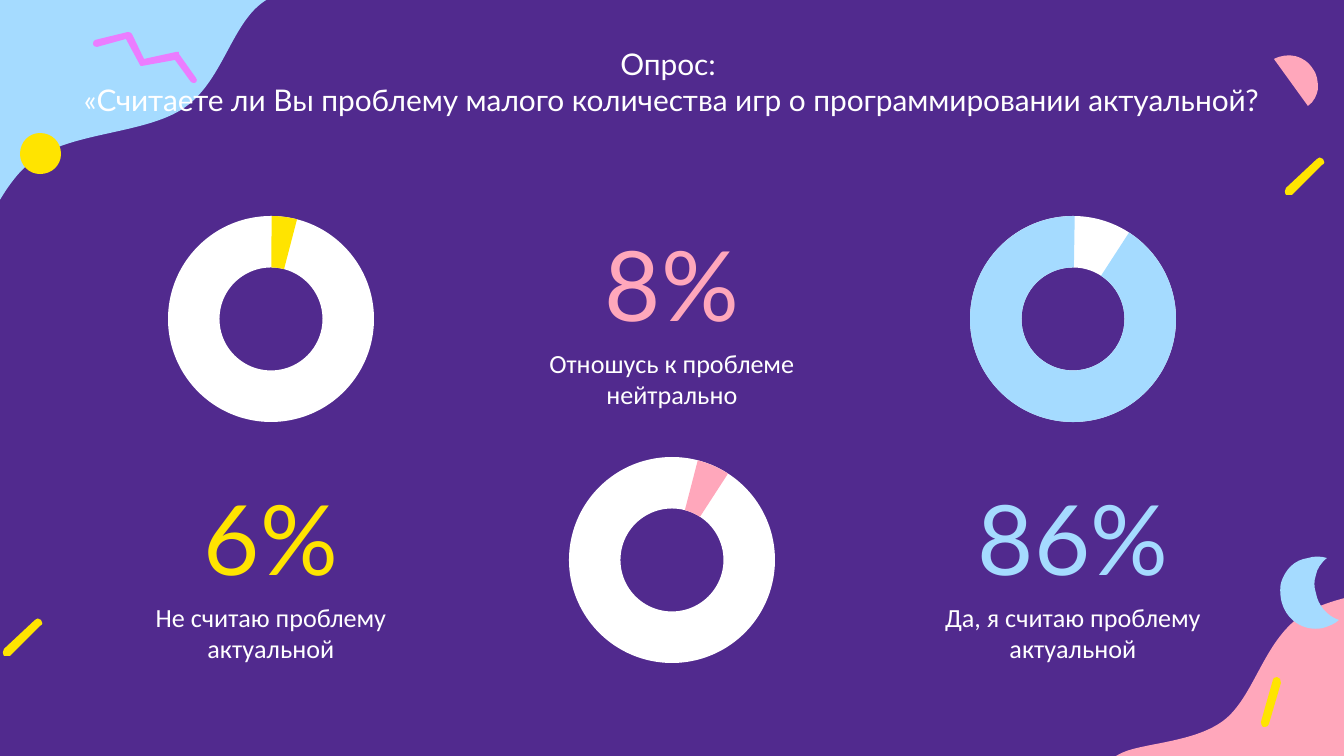
from dataclasses import dataclass

from lxml import etree
from pptx import Presentation
from pptx import util as u
from pptx.dml.color import RGBColor
from pptx.enum import shapes, text
from pptx.oxml.ns import qn


@dataclass(frozen=True)
class Theme:
    back: str = "512A8E"
    white: str = "FFFFFF"
    sky: str = "A5DBFF"
    pink: str = "FFA7BB"
    sun: str = "FFE400"
    lilac: str = "EB7DFF"
    head: str = "Lato"
    body: str = "Calibri"
    big: int = 52
    mid: int = 16
    small: int = 14


T = Theme()
W, H = 1344, 756


def px(n):
    return u.Emu(round(n * 914400 / 134.4))


def paint(shape, color):
    shape.fill.solid()
    shape.fill.fore_color.rgb = RGBColor.from_string(color)
    shape.line.fill.background()
    shape.shadow.inherit = False


prs = Presentation()
prs.slide_width, prs.slide_height = px(W), px(H)
slide = prs.slides.add_slide(prs.slide_layouts[5])
slide.background.fill.solid()
slide.background.fill.fore_color.rgb = RGBColor.from_string(T.back)
tree = slide.shapes

# Outlines in px: the start, then lines (x, y) and cubic curves (six numbers)
blob = [(-95, 278), (-90, 336, -65, 290, -42, 270), (-20, 250, -3, 185, 35, 159),
        (73, 132, 146, 134, 184, 108), (222, 82, 231, 26, 262, 3),
        (293, -20, 348, -19, 367, -31), (387, -43, 452, -66, 378, -73),
        (305, -81, 7, -136, -73, -78), (-152, -19, -99, 220, -95, 278)]
zigzag = [(179, 52), (178, 52, 177, 52, 176, 52), (144, 59), (132, 34),
          (131, 33, 130, 32, 128, 32), (95, 40), (92, 42, 92, 47, 97, 47),
          (126, 39), (140, 65), (140, 66, 141, 66, 142, 66), (175, 60), (191, 82),
          (192, 83, 194, 83, 195, 83), (196, 82, 198, 81, 196, 78), (179, 54)]
half = [(1318, 89), (1318, 81, 1317, 74, 1313, 69), (1304, 55, 1288, 52, 1274, 59),
        (1308, 106), (1314, 102, 1317, 95, 1318, 89)]
steep = [(1277, 677), (1274, 677, 1273, 679, 1273, 680), (1261, 722),
         (1261, 724, 1262, 726, 1263, 727), (1267, 727, 1269, 726, 1269, 724),
         (1281, 683), (1281, 680, 1280, 677, 1277, 677)]
tick = [(1286, 195), (1289, 196, 1290, 195, 1292, 195), (1322, 165),
        (1325, 164, 1325, 161, 1323, 159), (1321, 157, 1318, 157, 1317, 159),
        (1286, 188), (1285, 190, 1284, 192, 1286, 195)]
moon = [(1281, 583), (1285, 570, 1294, 560, 1308, 558),
        (1314, 556, 1321, 556, 1327, 558), (1321, 563, 1317, 569, 1316, 575),
        (1314, 581, 1314, 587, 1316, 593), (1318, 605, 1327, 616, 1339, 620),
        (1335, 624, 1329, 626, 1323, 628), (1304, 632, 1285, 620, 1281, 599),
        (1280, 593, 1280, 587, 1281, 583)]
ball = [(40, 133), (29, 133, 20, 142, 20, 154), (20, 165, 29, 174, 40, 174),
        (52, 174, 61, 165, 61, 154), (61, 142, 52, 133, 40, 133)]

# Outline, colour, shift and direction (-1 is a half turn)
decor = [(blob, T.sky, 0, 0, 1), (blob, T.pink, 1485, 724, -1),
         (ball, T.sun, 0, 0, 1), (zigzag, T.lilac, 0, 0, 1),
         (half, T.pink, 0, 0, 1), (steep, T.sun, 0, 0, 1),
         (tick, T.sun, 0, 0, 1), (moon, T.sky, 0, 0, 1),
         (tick, T.sun, -1282, 461, 1)]
for path, color, dx, dy, way in decor:
    parts = [[(px(dx + way * x), px(dy + way * y))
              for x, y in zip(part[::2], part[1::2])] for part in path]
    pen = tree.build_freeform(*parts[0][0])
    pen.add_line_segments([part[-1] for part in parts[1:]], close=True)
    form = pen.convert_to_shape()
    # Turn the segments that have control points into curves
    for seg, part in zip(list(form._element.iter(qn("a:lnTo"))), parts[1:]):
        if len(part) == 3:
            seg.tag = qn("a:cubicBezTo")
            for k, (x, y) in enumerate(part[:2]):
                knob = etree.Element(qn("a:pt"), x=str(x - form.left),
                                     y=str(y - form.top))
                seg.insert(k, knob)
    paint(form, color)

# Share, caption, colour, text top, ring top, arc adjustments, mirrored
polls = [
    ("6%", "Не считаю проблему актуальной", T.sun, 470, 216,
     (108.2, 116.77, 0.25), False),
    ("8%", "Отношусь к проблеме нейтрально", T.pink, 216, 457,
     (196.22, 207.28, 0.25), True),
    ("86%", "Да, я считаю проблему актуальной", T.sky, 470, 216,
     (215.42, 196.22, 0.25), True),
]
COL, STEP, WIDE, RING = 105, 401, 332, 206
for i, (share, note, color, top, ring, arc, flip) in enumerate(polls):
    left = COL + i * STEP
    for words, y, h, size, font, ink in (
            (share, top, 133, T.big, T.head, color),
            (note, top + 133, 59, T.small, T.body, T.white)):
        frame = tree.add_textbox(px(left), px(y), px(WIDE), px(h)).text_frame
        frame.word_wrap = True
        frame.vertical_anchor = text.MSO_ANCHOR.MIDDLE
        frame.margin_left = frame.margin_right = px(13)
        frame.margin_top = frame.margin_bottom = px(13)
        para = frame.paragraphs[0]
        para.alignment = text.PP_ALIGN.CENTER
        run = para.add_run()
        run.text = words
        run.font.size, run.font.name = u.Pt(size), font
        run.font.color.rgb = RGBColor.from_string(ink)

    place = px(left + 63), px(ring), px(RING), px(RING)
    donut = tree.add_shape(shapes.MSO_SHAPE.DONUT, *place)
    donut.adjustments[0] = 0.25
    paint(donut, T.white)
    wedge = tree.add_shape(shapes.MSO_SHAPE.BLOCK_ARC, *place)
    for k, value in enumerate(arc):
        wedge.adjustments[k] = value
    wedge.rotation = 90
    if flip:
        wedge._element.spPr.get_or_add_xfrm().set("flipH", "1")
    paint(wedge, color)

title = tree.title
title.left, title.top, title.width, title.height = px(55), px(39), px(1234), px(190)
frame = title.text_frame
frame.word_wrap = True
frame.auto_size = text.MSO_AUTO_SIZE.SHAPE_TO_FIT_TEXT
frame.vertical_anchor = text.MSO_ANCHOR.TOP
lines = ["Опрос: ",
         "«Считаете ли Вы проблему малого количества игр о программировании актуальной?"]
for i, line in enumerate(lines):
    para = frame.add_paragraph() if i else frame.paragraphs[0]
    para.alignment = text.PP_ALIGN.CENTER
    run = para.add_run()
    run.text = line
    run.font.size, run.font.name = u.Pt(T.mid), T.head
    run.font.color.rgb = RGBColor.from_string(T.white)
# The heading lies over the corner blob
title._element.getparent().append(title._element)

prs.save("out.pptx")
